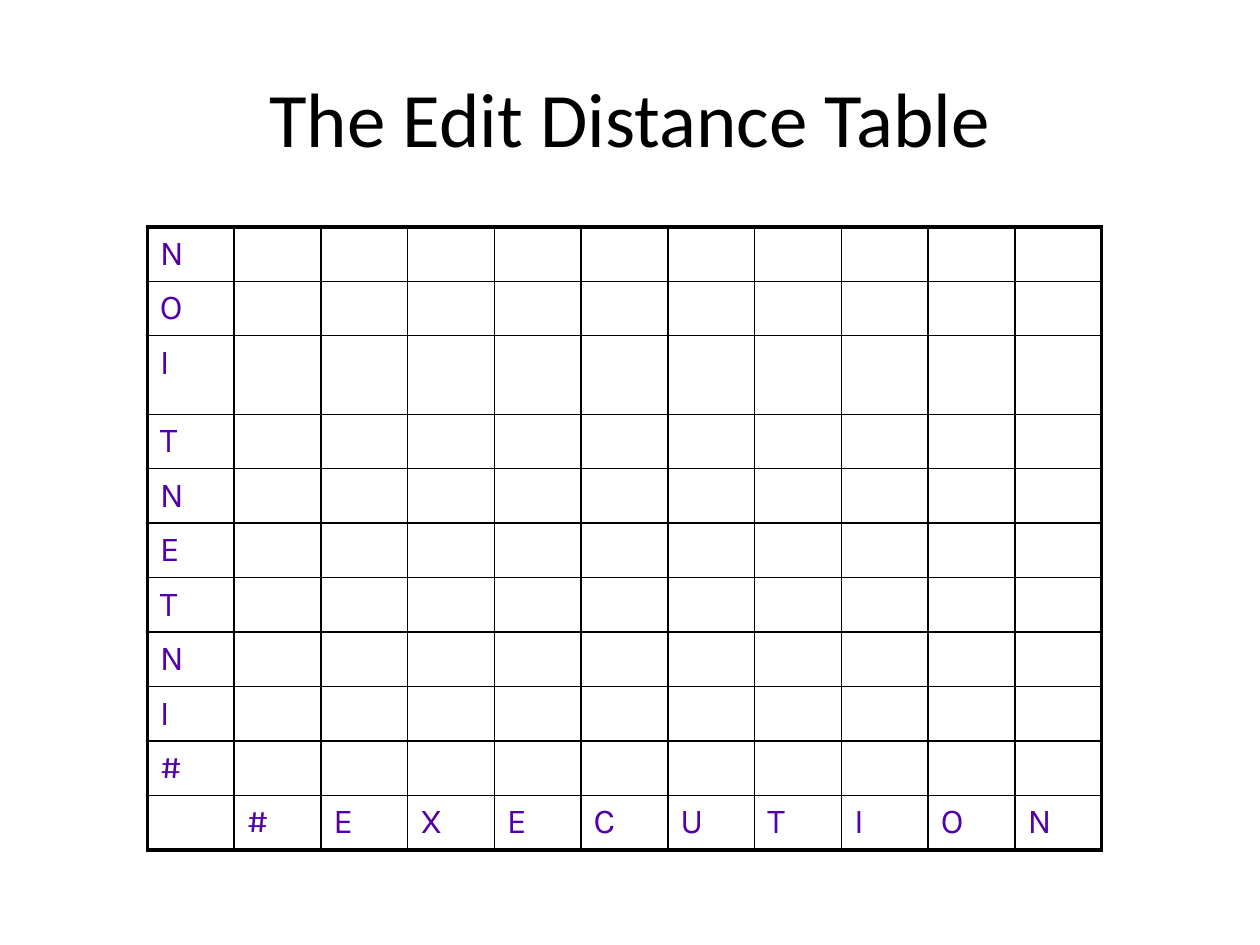
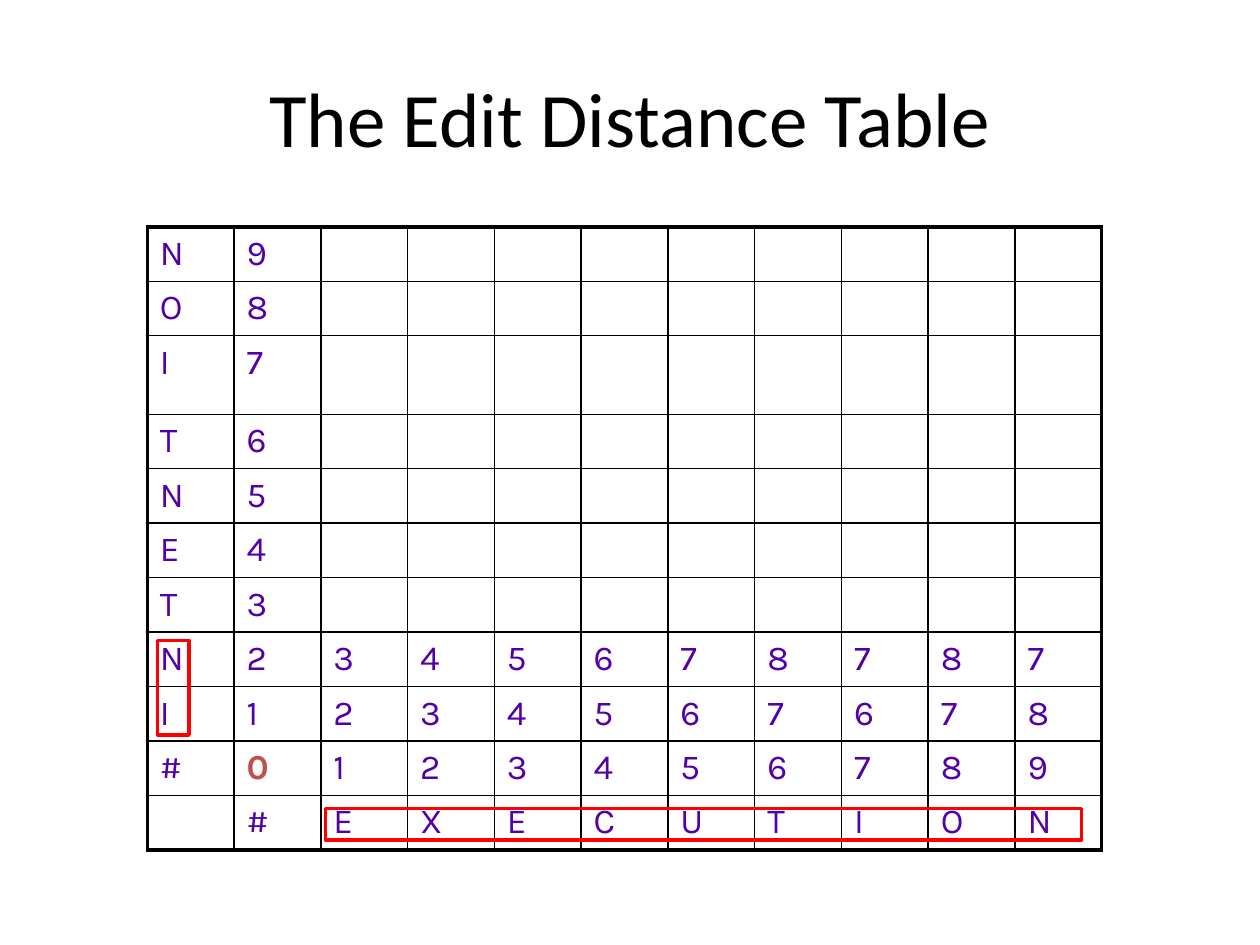
from dataclasses import dataclass

from lxml.etree import SubElement
from pptx import Presentation
from pptx.dml.color import RGBColor
from pptx.enum.shapes import MSO_SHAPE as Preset
from pptx.enum.text import MSO_ANCHOR as Anchor, PP_ALIGN as Align
from pptx.oxml.ns import qn
from pptx.slide import Slide
from pptx.table import _Cell as Cell
from pptx.util import Pt


@dataclass(frozen=True)
class Theme:
    title_font: str = "Calibri"
    title_size: float = 44
    title_color: str = "000000"
    cell_font: str = "Karla"
    cell_size: float = 20
    cell_color: str = "5400A8"
    start_color: str = "C0504D"
    grid_color: str = "000000"
    inner_line: float = 1
    outer_line: float = 2.25
    mark_color: str = "FF0000"
    mark_line: float = 2


@dataclass(frozen=True)
class Box:
    left: float
    top: float
    width: float
    height: float

    def lengths(self) -> tuple:
        return Pt(self.left), Pt(self.top), Pt(self.width), Pt(self.height)


@dataclass(frozen=True)
class Step:
    """One stage of filling the table: distances per row from the top, and marked words."""
    distances: tuple[str, ...]
    marks: tuple[Box, ...] = ()


THEME = Theme()
TITLE = "The Edit Distance Table"
TITLE_BOX = Box(36, 21.6, 648, 90)
SOURCE_WORD = "#INTENTION"
TARGET_WORD = "#EXECUTION"
ROWS, COLUMNS = len(SOURCE_WORD) + 1, len(TARGET_WORD) + 1
ROW_HEIGHT, TALL_ROW_HEIGHT, TALL_ROW = 31.15, 44.9, 2
GRID_BOX = Box(84.2, 129.6, 545.6, ROW_HEIGHT * (ROWS - 1) + TALL_ROW_HEIGHT)

STEPS = (
    Step(distances=("",) * len(SOURCE_WORD)),
    Step(
        distances=("9", "8", "7", "6", "5", "4", "3",
                   "2345678787", "1234567678", "0123456789"),
        marks=(Box(186, 462, 432, 18), Box(90, 366, 18, 54)),
    ),
)


def add_title(slide: Slide) -> None:
    title = slide.shapes.title
    title.left, title.top, title.width, title.height = TITLE_BOX.lengths()
    title.text_frame.text = TITLE
    title.text_frame.vertical_anchor = Anchor.MIDDLE
    line = title.text_frame.paragraphs[0]
    line.alignment = Align.CENTER
    font = line.runs[0].font
    font.name, font.size = THEME.title_font, Pt(THEME.title_size)
    font.color.rgb = RGBColor.from_string(THEME.title_color)


def draw_borders(cell: Cell, row: int, column: int) -> None:
    """Rule all four sides, with the heavier line on the table's outer edge."""
    on_edge = {"L": column == 0, "R": column == COLUMNS - 1,
               "T": row == 0, "B": row == ROWS - 1}
    properties = cell._tc.get_or_add_tcPr()
    for side, outer in on_edge.items():
        width = Pt(THEME.outer_line if outer else THEME.inner_line)
        line = SubElement(properties, qn(f"a:ln{side}"), w=str(width))
        fill = SubElement(line, qn("a:solidFill"))
        SubElement(fill, qn("a:srgbClr"), val=THEME.grid_color)


def write_cell(cell: Cell, symbol: str) -> None:
    cell.text_frame.text = symbol
    is_start = symbol == "0"
    for run in cell.text_frame.paragraphs[0].runs:
        run.font.name, run.font.size = THEME.cell_font, Pt(THEME.cell_size)
        run.font.bold = is_start
        run.font.color.rgb = RGBColor.from_string(
            THEME.start_color if is_start else THEME.cell_color)


def add_distance_table(slide: Slide, distances: tuple[str, ...]) -> None:
    table = slide.shapes.add_table(ROWS, COLUMNS, *GRID_BOX.lengths()).table
    table.first_row = table.horz_banding = False
    for column in table.columns:
        column.width = Pt(GRID_BOX.width / COLUMNS)
    lines = [letter + values for letter, values in zip(reversed(SOURCE_WORD), distances)]
    lines.append(" " + TARGET_WORD)
    for row, line in enumerate(lines):
        table.rows[row].height = Pt(TALL_ROW_HEIGHT if row == TALL_ROW else ROW_HEIGHT)
        for column, symbol in enumerate(line.ljust(COLUMNS)):
            cell = table.cell(row, column)
            draw_borders(cell, row, column)
            cell.fill.background()
            if symbol != " ":
                write_cell(cell, symbol)


def add_mark(slide: Slide, box: Box) -> None:
    mark = slide.shapes.add_shape(Preset.RECTANGLE, *box.lengths())
    mark.shadow.inherit = False
    mark.fill.background()
    mark.line.color.rgb = RGBColor.from_string(THEME.mark_color)
    mark.line.width = Pt(THEME.mark_line)


def main() -> None:
    deck = Presentation()
    deck.slide_width, deck.slide_height = Pt(720), Pt(540)
    title_only = deck.slide_layouts.get_by_name("Title Only")
    for step in STEPS:
        slide = deck.slides.add_slide(title_only)
        add_title(slide)
        add_distance_table(slide, step.distances)
        for box in step.marks:
            add_mark(slide, box)
    deck.save("out.pptx")


if __name__ == "__main__":
    main()
